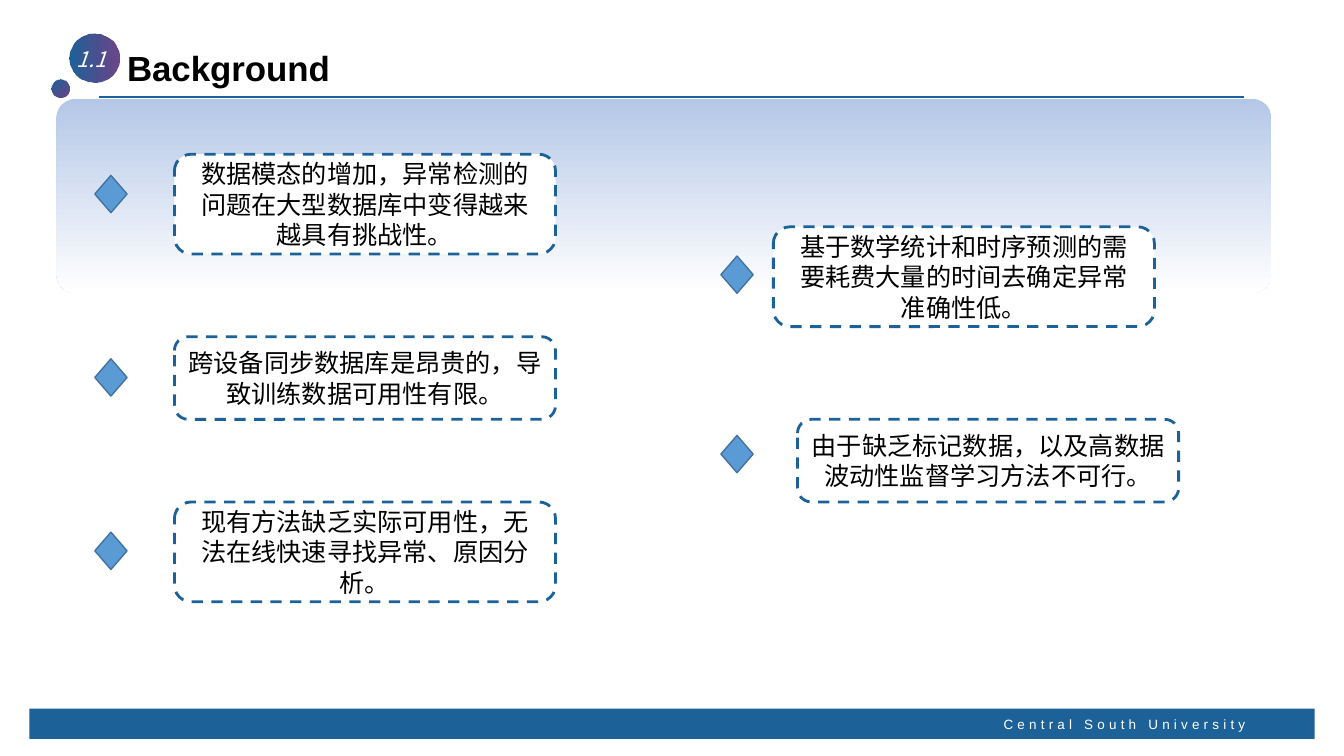
from dataclasses import dataclass

from lxml import etree
from pptx import Presentation
from pptx.dml.color import RGBColor
from pptx.enum.dml import MSO_LINE
from pptx.enum.shapes import MSO_CONNECTOR, MSO_SHAPE
from pptx.enum.text import MSO_ANCHOR, MSO_AUTO_SIZE, PP_ALIGN
from pptx.oxml.ns import qn
from pptx.util import Pt

LEFT, CENTER, RIGHT = PP_ALIGN.LEFT, PP_ALIGN.CENTER, PP_ALIGN.RIGHT
MIDDLE, BOTTOM = MSO_ANCHOR.MIDDLE, MSO_ANCHOR.BOTTOM
NO_FIT, GROW = MSO_AUTO_SIZE.NONE, MSO_AUTO_SIZE.SHAPE_TO_FIT_TEXT
OVAL, RECT, ROUNDED = MSO_SHAPE.OVAL, MSO_SHAPE.RECTANGLE, MSO_SHAPE.ROUNDED_RECTANGLE
DIAMOND = MSO_SHAPE.FLOWCHART_DECISION
DASH, STRAIGHT = MSO_LINE.DASH, MSO_CONNECTOR.STRAIGHT
TITLE_ONLY = 5
EMU_PER_PX = 9144


@dataclass(frozen=True)
class Theme:
    """Colours, fonts and type sizes of the deck."""
    navy: str = "1C6299"
    purple: str = "5C307D"
    mist: str = "B4C7E7"
    sky: str = "5B9BD5"
    steel: str = "43739E"
    white: str = "FFFFFF"
    black: str = "000000"
    heading_font: str = "Arial"
    body_font: str = "Calibri"
    cjk_font: str = "Noto Sans CJK SC"
    title_size: float = 24.9
    body_size: float = 18
    badge_size: float = 15.3
    footer_size: float = 9.6


def px(*lengths):
    """Turn px lengths into EMU."""
    return [length * EMU_PER_PX for length in lengths]


class SlideBuilder:
    """Draws styled elements on one slide."""

    def __init__(self, slide, theme):
        """Keep the slide and its theme."""
        self.slide = slide
        self.theme = theme

    def add_text(self, frame, text, size, font, color, align, bold=False, italic=False, tracking=0):
        """Add one styled run to the first paragraph of a frame."""
        paragraph = frame.paragraphs[0]
        paragraph.alignment = align
        run = paragraph.add_run()
        run.text = text
        run.font.size = Pt(size)
        run.font.name = font
        run.font.bold = bold
        run.font.italic = italic
        run.font.color.rgb = RGBColor.from_string(color)
        properties = run._r.get_or_add_rPr()
        etree.SubElement(properties, qn("a:ea")).set("typeface", self.theme.cjk_font)
        if tracking:
            properties.set("spc", str(tracking * 100))
        return paragraph

    def title(self, box, text):
        """Place and fill the title placeholder."""
        heading = self.slide.shapes.title
        heading.left, heading.top, heading.width, heading.height = px(*box)
        frame = heading.text_frame
        frame.auto_size = NO_FIT
        frame.vertical_anchor = BOTTOM
        frame.margin_left = 0
        theme = self.theme
        paragraph = self.add_text(frame, text, theme.title_size, theme.heading_font,
                                  theme.black, LEFT, bold=True)
        paragraph.line_spacing = 0.9

    def label(self, box, text, size, font, align, wrap=True, **style):
        """Add white text in a box that grows with it."""
        frame = self.slide.shapes.add_textbox(*px(*box)).text_frame
        frame.word_wrap = wrap
        frame.auto_size = GROW
        self.add_text(frame, text, size, font, self.theme.white, align, **style)

    def rule(self, left, right, y):
        """Draw a horizontal line."""
        line = self.slide.shapes.add_connector(STRAIGHT, *px(left, y, right, y))
        line.line.color.rgb = RGBColor.from_string(self.theme.navy)
        line.line.width = Pt(1.75)
        etree.SubElement(line._element.spPr, qn("a:effectLst"))

    def shape(self, kind, box, fill=None, outline=None, weight=1):
        """Add a preset shape with an optional fill and outline."""
        shape = self.slide.shapes.add_shape(kind, *px(*box))
        shape.shadow.inherit = False
        if fill:
            shape.fill.solid()
            shape.fill.fore_color.rgb = RGBColor.from_string(fill)
        if outline:
            shape.line.color.rgb = RGBColor.from_string(outline)
            shape.line.width = Pt(weight)
        else:
            shape.line.fill.background()
        return shape

    def gradient(self, kind, box, colors, angle, end_opacity=100):
        """Add a shape with a two-colour gradient turned clockwise by angle."""
        shape = self.shape(kind, box)
        shape.fill.gradient()
        shape.fill.gradient_angle = 360 - angle
        for stop, color in zip(shape.fill.gradient_stops, colors):
            stop.color.rgb = RGBColor.from_string(color)
        if end_opacity < 100:
            end_color = list(shape._element.spPr.iter(qn("a:srgbClr")))[-1]
            etree.SubElement(end_color, qn("a:alpha")).set("val", str(end_opacity * 1000))
        return shape

    def card(self, box, text):
        """Add a dashed rounded box with centred text."""
        theme = self.theme
        card = self.shape(ROUNDED, box, theme.white, theme.navy, 2)
        card.line.dash_style = DASH
        card.text_frame.word_wrap = True
        card.text_frame.vertical_anchor = MIDDLE
        self.add_text(card.text_frame, text, theme.body_size, theme.body_font,
                      theme.black, CENTER)

    def diamond(self, left, top):
        """Add a diamond marker."""
        self.shape(DIAMOND, (left, top, 32, 37), self.theme.sky, self.theme.steel)


def main():
    """Build the background slide."""
    theme = Theme()
    deck = Presentation()
    deck.slide_width, deck.slide_height = px(1333, 750)
    page = SlideBuilder(deck.slides.add_slide(deck.slide_layouts[TITLE_ONLY]), theme)

    page.rule(98, 1234, 96)
    page.title((126, 8, 568, 85), "Background")
    badge_colors = (theme.navy, theme.purple)
    page.gradient(OVAL, (69, 33, 49, 49), badge_colors, 0, 90)
    page.label((56, 41, 70, 36), "1.1", theme.badge_size, theme.cjk_font, CENTER, italic=True)
    page.gradient(OVAL, (51, 79, 18, 18), badge_colors, 50, 90)

    page.shape(RECT, (29, 703, 1275, 30), theme.navy)
    page.label((981, 705, 264, 26), "Central South University", theme.footer_size,
               theme.heading_font, RIGHT, wrap=False, tracking=3)

    panel = page.gradient(ROUNDED, (56, 98, 1205, 193), (theme.mist, theme.white), 90)
    panel.adjustments[0] = 0.1

    card_width, two_lines, three_lines = 378, 82, 99
    left_marker, right_marker = 94, 715
    issues = [
        (173, 153, three_lines, left_marker, 174,
         "数据模态的增加，异常检测的问题在大型数据库中变得越来越具有挑战性。"),
        (173, 334, two_lines, left_marker, 356,
         "跨设备同步数据库是昂贵的，导致训练数据可用性有限。"),
        (173, 498, three_lines, left_marker, 528,
         "现有方法缺乏实际可用性，无法在线快速寻找异常、原因分析。"),
        (767, 225, three_lines, right_marker, 254,
         "基于数学统计和时序预测的需要耗费大量的时间去确定异常准确性低。"),
        (791, 416, two_lines, right_marker, 432,
         "由于缺乏标记数据，以及高数据波动性监督学习方法不可行。"),
    ]
    for left, top, height, marker_left, marker_top, issue in issues:
        page.card((left, top, card_width, height), issue)
        page.diamond(marker_left, marker_top)

    deck.save("out.pptx")


if __name__ == "__main__":
    main()
